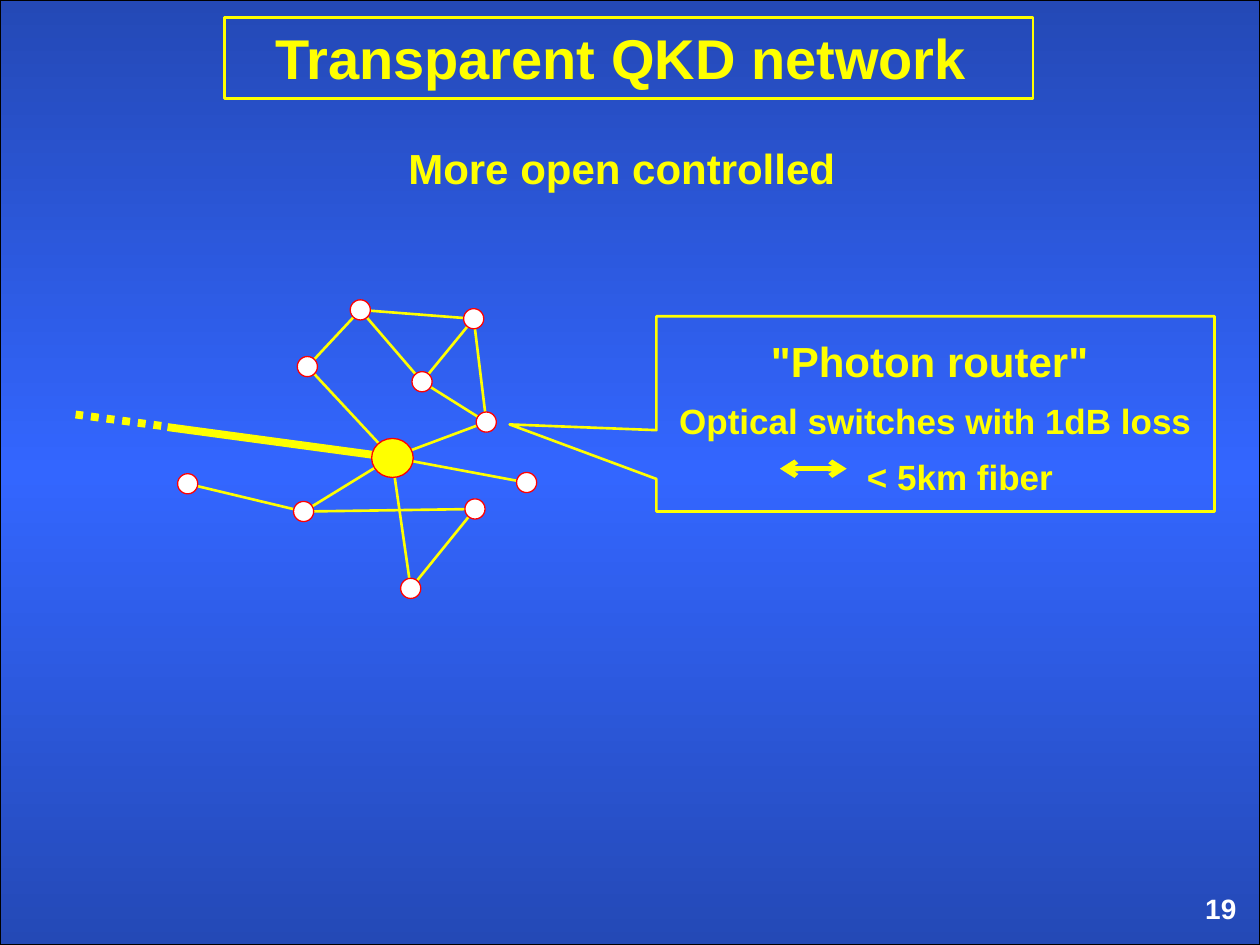
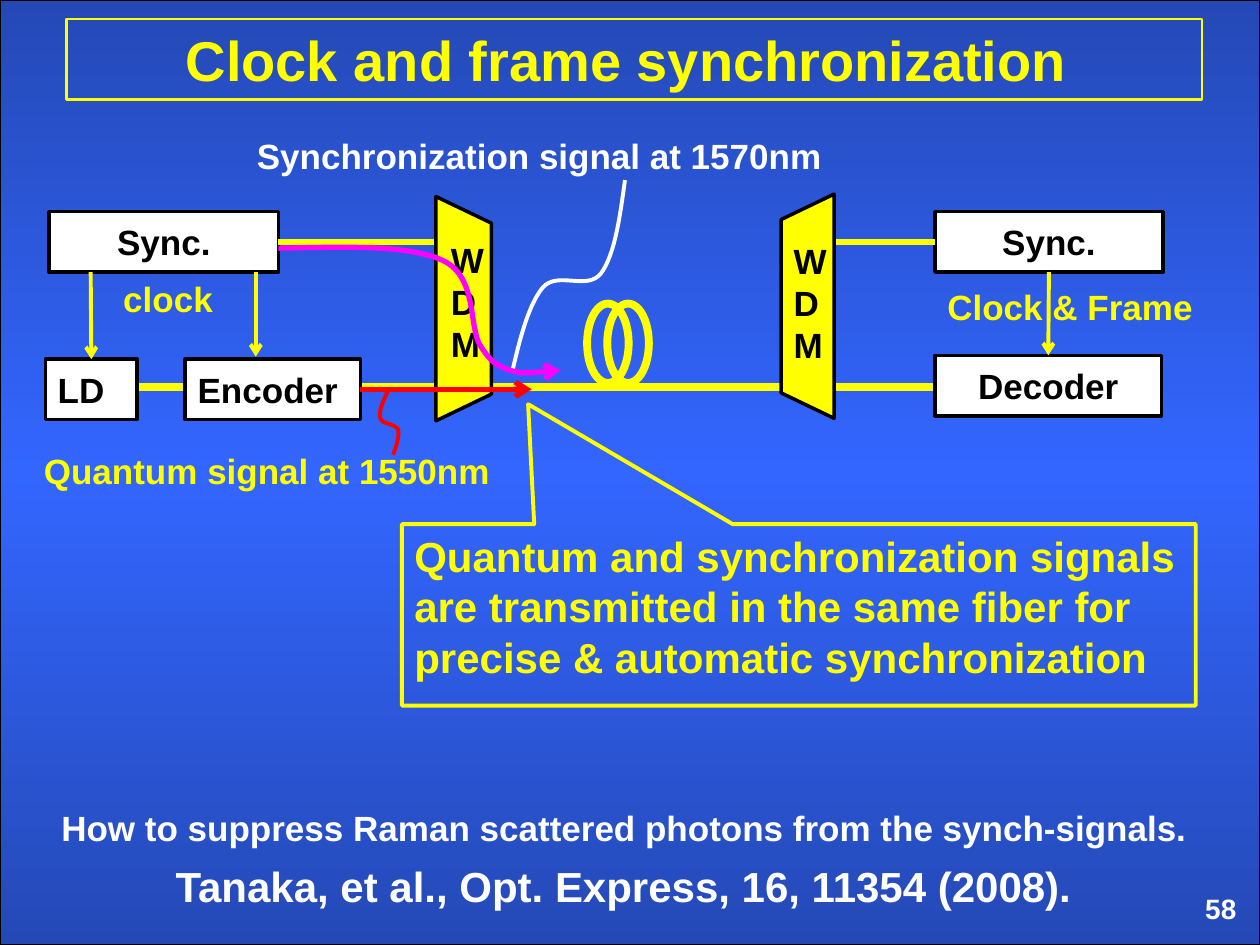
"""Build two slides on a QKD network and its clock synchronization."""
from copy import deepcopy
from dataclasses import dataclass

from lxml import etree
from pptx import Presentation
from pptx import util as u
from pptx.dml.color import RGBColor
from pptx.enum import dml, shapes, text
from pptx.oxml.ns import qn

SHAPE = shapes.MSO_SHAPE
ALIGN = text.PP_ALIGN
ANCHOR = text.MSO_ANCHOR
TOP, LEFT, BOTTOM, RIGHT = range(4)


@dataclass(frozen=True)
class Theme:
    """Colours, font and type sizes of the deck."""
    yellow: str = "FFFF00"
    white: str = "FFFFFF"
    black: str = "000000"
    red: str = "FF0000"
    magenta: str = "FF00FF"
    edge_blue: str = "2449B6"
    mid_blue: str = "3366FF"
    font: str = "Arial"
    title: int = 32
    lead: int = 24
    body: int = 20
    number: int = 16


T = Theme()


def rgb(color):
    """Return the colour object for a hex string."""
    return RGBColor.from_string(color)


def style_line(line, color, width):
    """Give a line its colour and width."""
    line.color.rgb = rgb(color)
    line.width = u.Pt(width)


def add_ends(sp, ends):
    """Put open arrowheads on the named ends of a line."""
    ln = sp._element.spPr.find(qn("a:ln"))
    for end in ends:
        etree.SubElement(ln, qn(f"a:{end}"), type="arrow")


def write(sp, lines, color, size, align=ALIGN.LEFT, anchor=ANCHOR.TOP):
    """Fill a shape with bold lines, each a string or a (string, size) pair."""
    tf = sp.text_frame
    tf.word_wrap = True
    tf.vertical_anchor = anchor
    for i, line in enumerate(lines):
        words, points = line if isinstance(line, tuple) else (line, size)
        p = tf.paragraphs[0] if i == 0 else tf.add_paragraph()
        p.alignment = align
        r = p.add_run()
        r.text = words
        r.font.name, r.font.size, r.font.bold = T.font, u.Pt(points), True
        r.font.color.rgb = rgb(color)
    return tf


def add_text(s, box, lines, color, size, align=ALIGN.LEFT):
    """Add a plain text box."""
    sp = s.shapes.add_textbox(*map(u.Inches, box))
    return write(sp, lines, color, size, align)


def add_shape(s, kind, box, line, width, fill=None):
    """Add a preset shape without shadow."""
    sp = s.shapes.add_shape(kind, *map(u.Inches, box))
    sp.shadow.inherit = False
    if fill:
        sp.fill.solid()
        sp.fill.fore_color.rgb = rgb(fill)
    else:
        sp.fill.background()
    style_line(sp.line, line, width)
    return sp


def add_line(s, start, end, color, width, ends=(), begin=None, finish=None):
    """Add a straight connector, joined to (shape, side) pairs where given."""
    cn = s.shapes.add_connector(shapes.MSO_CONNECTOR.STRAIGHT, *map(u.Inches, (*start, *end)))
    if begin:
        cn.begin_connect(*begin)
    if finish:
        cn.end_connect(*finish)
    style_line(cn.line, color, width)
    add_ends(cn, ends)
    etree.SubElement(cn._element.spPr, qn("a:effectLst"))
    return cn


def add_curve(s, points, color, width, ends=()):
    """Add an open chain of cubic curves: a start, then three points a curve."""
    start, *rest = [tuple(map(u.Inches, point)) for point in points]
    builder = s.shapes.build_freeform(*start)
    builder.add_line_segments(rest, close=False)
    sp = builder.convert_to_shape()
    sp.shadow.inherit = False
    sp.fill.background()
    style_line(sp.line, color, width)
    add_ends(sp, ends)
    outline = sp._element.spPr.find(".//" + qn("a:path"))
    segments = outline.findall(qn("a:lnTo"))
    for i in range(0, len(segments), 3):
        cubic = etree.SubElement(outline, qn("a:cubicBezTo"))
        for segment in segments[i:i + 3]:
            cubic.append(segment[0])
            outline.remove(segment)


def add_callout(s, box, pointer, width):
    """Add a yellow outlined callout with its pointer tip."""
    sp = add_shape(s, SHAPE.RECTANGULAR_CALLOUT, box, T.yellow, width)
    sp.adjustments[0], sp.adjustments[1] = pointer
    return sp


def add_box(s, box, label, align=ALIGN.CENTER):
    """Add a white device box with its label."""
    sp = add_shape(s, SHAPE.RECTANGLE, box, T.black, 2, T.white)
    write(sp, [label], T.black, T.body, align, ANCHOR.MIDDLE)
    return sp


def add_wdm(s, box, rotation, label_at):
    """Add a multiplexer: a turned trapezoid with stacked letters."""
    sp = add_shape(s, SHAPE.TRAPEZOID, box, T.black, 2, T.yellow)
    sp.adjustments[0] = 0.48
    sp.rotation = rotation
    add_text(s, (*label_at, 0.47, 1.11), "WDM", T.black, T.body)


def new_slide(prs, title, title_box, number):
    """Add a slide with gradient backdrop, framed title and page number."""
    s = prs.slides.add_slide(prs.slide_layouts[6])
    sp = add_shape(s, SHAPE.RECTANGLE, (0, 0, 10, 7.5), T.black, 0.75)
    sp.fill.gradient()
    sp.fill.gradient_angle = 90
    stops = sp._element.spPr.find(".//" + qn("a:gsLst"))
    stops.append(deepcopy(stops[0]))
    shades = (T.edge_blue, T.mid_blue, T.edge_blue)
    for i, (stop, shade) in enumerate(zip(sp.fill.gradient_stops, shades)):
        stop.position = i / 2
        stop.color.rgb = rgb(shade)
    add_text(s, (9.13, 7.03, 0.78, 0.4), [number], T.white, T.number, ALIGN.RIGHT)
    frame = add_shape(s, SHAPE.RECTANGLE, title_box, T.yellow, 1.5)
    write(frame, [title], T.yellow, T.title, ALIGN.CENTER)
    return s


def add_network(s):
    """Draw the network: links between node centres, then the nodes."""
    hub = (3.11, 3.63)
    nodes = {
        "top": (2.86, 2.46), "top right": (3.76, 2.53), "upper left": (2.44, 2.91),
        "middle": (3.35, 3.03), "right": (3.86, 3.35), "far right": (4.18, 3.83),
        "lower right": (3.77, 4.04), "bottom": (3.26, 4.67),
        "lower left": (2.41, 4.06), "far left": (1.49, 3.84),
    }
    links = [
        ("far left", "lower left"), ("lower left", "lower right"),
        ("lower right", "bottom"), ("top right", "right"), ("top right", "middle"),
        ("top right", "top"), ("top", "middle"), ("top", "upper left"),
        ("right", "middle"),
    ]
    for a, b in links:
        add_line(s, nodes[a], nodes[b], T.yellow, 1.5)
    for name in ("lower left", "bottom", "right", "upper left", "far right"):
        add_line(s, hub, nodes[name], T.yellow, 1.5)
    add_line(s, hub, (1.33, 3.39), T.yellow, 4.5)
    trunk = add_line(s, (1.28, 3.38), (0.6, 3.29), T.yellow, 4.5)
    trunk.line.dash_style = dml.MSO_LINE.ROUND_DOT
    add_shape(s, SHAPE.OVAL, (2.95, 3.48, 0.33, 0.31), T.red, 0.75, T.yellow)
    size = 0.16
    for x, y in nodes.values():
        box = (x - size / 2, y - size / 2, size, size)
        add_shape(s, SHAPE.OVAL, box, T.red, 0.75, T.white)


def network_slide(prs):
    """Build the transparent network slide."""
    s = new_slide(prs, "Transparent QKD network ", (1.78, 0.14, 6.42, 0.64), "19")
    add_text(s, (3.07, 1.08, 3.73, 0.5), ["More open controlled"], T.yellow, T.lead, ALIGN.CENTER)
    router = add_callout(s, (5.21, 2.51, 4.43, 1.55), (-0.763, 0.054), 1.5)
    lines = [('"Photon router" ', T.lead), "Optical switches with 1dB loss", "< 5km fiber"]
    tf = write(router, lines, T.yellow, T.body, ALIGN.CENTER, ANCHOR.MIDDLE)
    for p in tf.paragraphs:
        p.line_spacing = u.Pt(32)
    tf.paragraphs[-1]._p.get_or_add_pPr().set("marL", str(u.Inches(0.39)))
    add_network(s)
    add_line(s, (6.19, 3.72), (6.72, 3.72), T.yellow, 3, ("headEnd", "tailEnd"))


def sync_slide(prs):
    """Build the clock and frame synchronization slide."""
    s = new_slide(prs, "Clock and frame synchronization ", (0.53, 0.15, 9.01, 0.64), "58")
    arrow = ("tailEnd",)
    add_line(s, (0.46, 3.07), (8.79, 3.07), T.yellow, 4.5)
    laser = add_box(s, (0.36, 2.85, 0.73, 0.48), "LD", ALIGN.LEFT)
    encoder = add_box(s, (1.47, 2.85, 1.39, 0.48), "Encoder", ALIGN.LEFT)
    decoder = add_box(s, (7.42, 2.82, 1.8, 0.48), "Decoder")
    sender = add_box(s, (0.39, 1.68, 1.82, 0.48), "Sync.")
    receiver = add_box(s, (7.42, 1.68, 1.81, 0.48), "Sync.")
    for x in (4.66, 4.82):
        add_shape(s, SHAPE.OVAL, (x, 2.41, 0.33, 0.63), T.yellow, 4.5)

    add_line(s, (0.72, 2.16), (0.72, 2.85), T.yellow, 2.25, arrow, finish=(laser, TOP))
    add_line(s, (2.03, 2.16), (2.03, 2.83), T.yellow, 2.25, arrow)
    add_line(s, (8.32, 2.16), (8.32, 2.82), T.yellow, 2.25, arrow,
             (receiver, BOTTOM), (decoder, TOP))
    add_line(s, (2.21, 1.92), (3.63, 1.92), T.yellow, 3, begin=(sender, RIGHT))
    add_line(s, (6.47, 1.92), (7.42, 1.92), T.yellow, 3, finish=(receiver, LEFT))
    add_wdm(s, (5.52, 2.22, 1.78, 0.42), 270, (6.2, 1.85))
    add_wdm(s, (2.79, 2.23, 1.78, 0.44), 90, (3.48, 1.84))

    labels = [
        ((0.88, 2.15, 0.96, 0.44), "clock", T.yellow),
        ((7.42, 2.22, 2.2, 0.44), "Clock & Frame", T.yellow),
        ((0.25, 3.52, 3.97, 0.44), "Quantum signal at 1550nm", T.yellow),
        ((1.94, 1.02, 4.78, 0.44), "Synchronization signal at 1570nm", T.white),
    ]
    for box, label, color in labels:
        add_text(s, box, [label], color, T.body)

    add_curve(s, [(4.96, 1.43), (4.92, 1.72), (4.88, 2.02), (4.77, 2.17),
                  (4.66, 2.31), (4.43, 2.15), (4.31, 2.28),
                  (4.2, 2.41), (4.13, 2.67), (4.07, 2.93)], T.white, 2.25)
    add_curve(s, [(3.08, 3.1), (3.04, 3.19), (3, 3.27), (3.02, 3.32),
                  (3.03, 3.37), (3.14, 3.36), (3.16, 3.41),
                  (3.17, 3.46), (3.15, 3.53), (3.12, 3.61)], T.red, 2.25)
    add_line(s, (2.86, 3.09), (4.22, 3.09), T.red, 3, arrow, begin=(encoder, RIGHT))
    add_curve(s, [(2.21, 1.97), (2.73, 1.96), (3.25, 1.94), (3.52, 2.07),
                  (3.79, 2.2), (3.72, 2.59), (3.81, 2.74),
                  (3.9, 2.88), (3.94, 2.9), (4.05, 2.94),
                  (4.15, 2.97), (4.3, 2.95), (4.45, 2.94)], T.magenta, 3, arrow)

    note = add_callout(s, (3.19, 4.16, 6.3, 1.44), (-0.341, -1.161), 2.25)
    write(note, ["Quantum and synchronization signals",
                 "are transmitted in the same fiber for",
                 "precise & automatic synchronization"], T.yellow, T.lead)
    closing = ["How to suppress Raman scattered photons from the synch-signals. ",
               ("Tanaka, et al., Opt. Express, 16, 11354 (2008). ", T.lead)]
    tf = add_text(s, (0.28, 6.35, 9.43, 0.96), closing, T.white, T.body, ALIGN.CENTER)
    tf.paragraphs[1].space_before = u.Pt(7)


def main():
    """Build and save the deck."""
    prs = Presentation()
    prs.slide_width, prs.slide_height = u.Inches(10), u.Inches(7.5)
    network_slide(prs)
    sync_slide(prs)
    prs.save("out.pptx")


if __name__ == "__main__":
    main()
